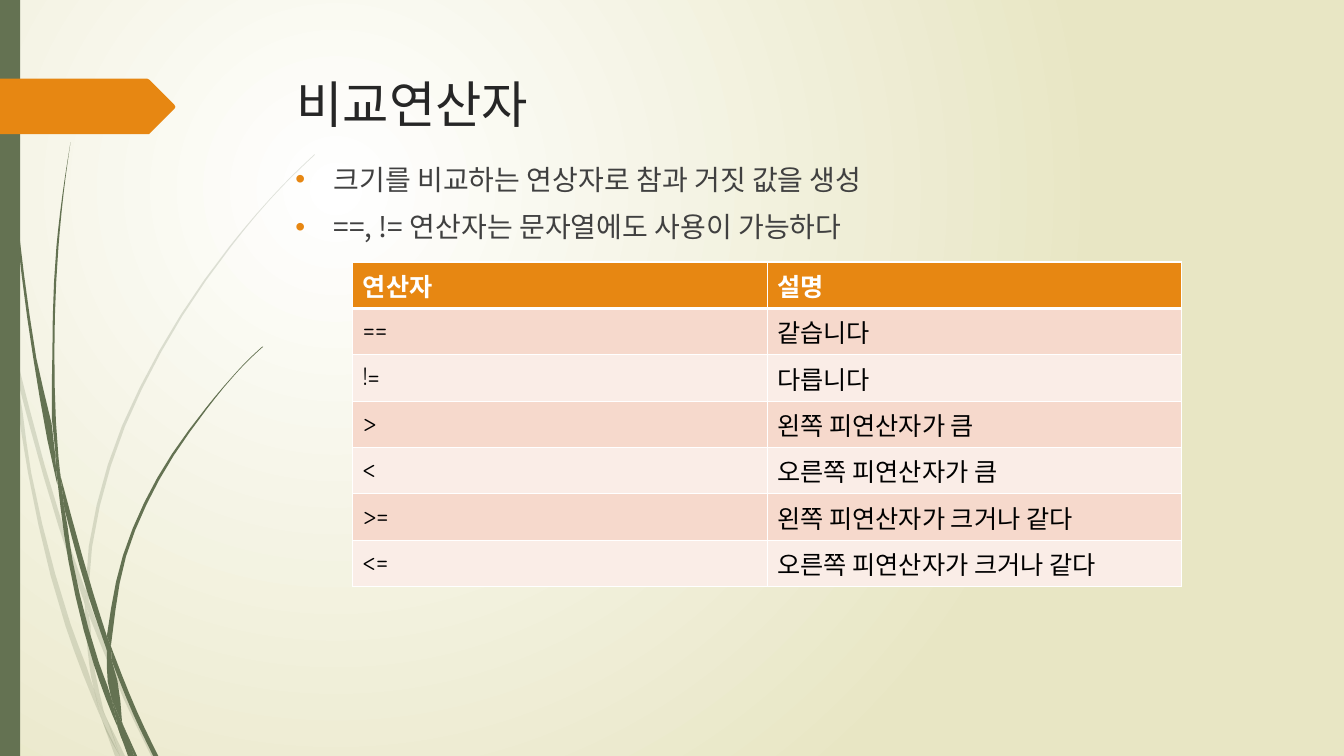
from dataclasses import dataclass

from lxml.etree import SubElement
from pptx import Presentation
from pptx.dml.color import RGBColor
from pptx.enum.shapes import MSO_SHAPE as Preset
from pptx.enum.text import MSO_ANCHOR as Anchor, MSO_AUTO_SIZE as AutoSize, PP_ALIGN as Align
from pptx.oxml.ns import qn
from pptx.util import Inches, Pt

TITLE = "비교연산자"
BULLETS = [
    "크기를 비교하는 연상자로 참과 거짓 값을 생성",
    "==, != 연산자는 문자열에도 사용이 가능하다",
]
OPERATORS = [
    ("연산자", "설명"),
    ("==", "같습니다"),
    ("!=", "다릅니다"),
    (">", "왼쪽 피연산자가 큼"),
    ("<", "오른쪽 피연산자가 큼"),
    (">=", "왼쪽 피연산자가 크거나 같다"),
    ("<=", "오른쪽 피연산자가 크거나 같다"),
]

# Each grass blade is a pair of edges: one followed out, the other back.
PALE_GRASS = [
    ([(0.11, 3.5), (0.09, 3.22), (0, 2.82)], [(0, 2.99), (0.1, 3.44), (0.11, 3.5)]),
    ([(0.14, 3.45), (0.62, 5.2), (0.85, 5.86)],
     [(0.84, 5.99), (0.58, 5.22), (0.17, 3.76)]),
    ([(0.88, 5.96), (0.92, 6.07), (1.27, 6.92), (1.55, 7.5)],
     [(1.5, 7.5), (1.23, 6.94), (0.88, 6.1)]),
    ([(1.19, 7.5), (1.24, 7.5)], [(1.05, 7.11)]),
    ([(0.11, 3.5), (0.28, 4.7), (0.65, 6.21), (0.92, 6.93), (1.01, 7.14)],
     [(0.99, 7.07), (0.93, 6.83), (0.7, 6.19), (0.31, 4.69), (0.17, 3.76), (0.11, 3.5)]),
    ([(0.84, 5.99), (0.87, 6.46), (0.93, 6.83), (0.96, 6.92), (1.05, 7.11)],
     [(1.03, 7.06), (0.91, 6.46), (0.88, 6.1), (0.84, 5.99)]),
    ([(0.88, 5.96), (0.88, 5.84), (1.1, 4.62), (1.6, 3.49), (2.29, 2.45), (2.68, 1.98),
      (2.9, 1.75), (3.12, 1.54)],
     [(3.12, 1.53), (2.89, 1.75), (2.68, 1.97), (2.28, 2.44), (1.58, 3.48), (1.07, 4.61),
      (0.85, 5.84), (0.85, 5.86)]),
    ([(1.01, 7.14), (1.14, 7.5)], [(1.19, 7.5), (1.01, 7.14)]),
    ([(0.88, 6.08), (0.88, 5.96)], [(0.85, 5.86), (0.84, 5.99)]),
    ([(0.93, 6.83), (0.99, 7.07), (1.01, 7.14), (1.19, 7.5)],
     [(1.19, 7.5), (1.05, 7.11), (0.96, 6.92), (0.93, 6.83)]),
]
DARK_GRASS = [
    ([(0.03, 0), (0.04, 0.48), (0.07, 1.1), (0.17, 2.33), (0.33, 3.55), (0.56, 4.77),
      (0.57, 4.81)],
     [(0.55, 4.57), (0.55, 4.53), (0.36, 3.55), (0.19, 2.32), (0.08, 1.09), (0.05, 0.48),
      (0.04, 0)]),
    ([(0.6, 4.72), (0.93, 5.9), (1.06, 6.31)],
     [(1.06, 6.45), (0.88, 5.92), (0.64, 5.05)]),
    ([(1.1, 6.41), (1.13, 6.49), (1.36, 7.06), (1.57, 7.5)],
     [(1.52, 7.5), (1.32, 7.08), (1.11, 6.56)]),
    ([(0.57, 4.77), (0.68, 5.57), (0.93, 6.59), (1.11, 7.08), (1.17, 7.22)],
     [(1.16, 7.17), (1.1, 6.91), (0.98, 6.57), (0.72, 5.56), (0.64, 5.05), (0.57, 4.77)]),
    ([(0.6, 4.72), (0.58, 4.53), (0.54, 3.49), (0.58, 2.45), (0.63, 1.93), (0.7, 1.41)],
     [(0.7, 1.41), (0.62, 1.93), (0.56, 2.45), (0.52, 3.49), (0.55, 4.49), (0.6, 4.72)]),
    ([(1.33, 7.5), (1.36, 7.5)], [(1.22, 7.19)]),
    ([(0.55, 4.49), (0.55, 4.53), (0.57, 4.77), (0.64, 5.05)], [(0.6, 4.72), (0.55, 4.49)]),
    ([(1.1, 6.41), (1.11, 6.33), (1.25, 5.52), (1.58, 4.76), (2.05, 4.06), (2.31, 3.74),
      (2.45, 3.59), (2.61, 3.44)],
     [(2.6, 3.44), (2.45, 3.58), (2.31, 3.73), (2.04, 4.05), (1.56, 4.74), (1.22, 5.51),
      (1.06, 6.31)]),
    ([(1.17, 7.22), (1.27, 7.5)], [(1.31, 7.5), (1.17, 7.22)]),
    ([(1.06, 6.45), (1.1, 6.91), (1.16, 7.06), (1.22, 7.19)],
     [(1.21, 7.16), (1.11, 6.56), (1.09, 6.51), (1.06, 6.45)]),
    ([(1.06, 6.31), (1.06, 6.45), (1.11, 6.56)], [(1.1, 6.41), (1.06, 6.31)]),
    ([(1.1, 6.91), (1.16, 7.17), (1.17, 7.22), (1.3, 7.5)],
     [(1.33, 7.5), (1.22, 7.19), (1.16, 7.06), (1.1, 6.91)]),
]
TITLE_ARROW = [(0, 0.78), (1.46, 0.78), (1.48, 0.79), (1.73, 1.04), (1.74, 1.06),
               (1.73, 1.08), (1.48, 1.33), (0, 1.33)]


@dataclass(frozen=True)
class Theme:
    font: str = "Noto Sans CJK KR"
    table_font: str = "Quicksand"
    white: str = "FFFFFF"
    black: str = "000000"
    sand: str = "E8E6C4"
    green: str = "647252"
    orange: str = "E78712"
    title: str = "262626"
    body: str = "404040"
    bands: tuple = ("F6D9CC", "FAEDE7")
    title_size: int = 36
    body_size: int = 20
    table_size: int = 18


THEME = Theme()


def rgb(color):
    return RGBColor.from_string(color)


def fill_shape(shape, color, alpha=None):
    shape.shadow.inherit = False
    shape.fill.solid()
    shape.fill.fore_color.rgb = rgb(color)
    shape.line.fill.background()
    if alpha:
        color_element = shape._element.spPr.find(f"{qn('a:solidFill')}/{qn('a:srgbClr')}")
        SubElement(color_element, qn("a:alpha"), val=str(alpha * 1000))


def smooth(knots, steps=3):
    """Pass a cubic curve through the knots, paced by the distance between them."""
    if len(knots) < 3:
        return knots
    points = [complex(*knot) for knot in knots]
    gaps = [abs(b - a) for a, b in zip(points, points[1:])]
    slopes = [(b - a) / gap for a, b, gap in zip(points, points[1:], gaps)]
    inner = [(s * h + r * g) / (g + h)
             for s, r, g, h in zip(slopes, slopes[1:], gaps, gaps[1:])]
    tangents = [1.5 * slopes[0] - inner[0] / 2, *inner, 1.5 * slopes[-1] - inner[-1] / 2]
    curve = [points[0]]
    for a, b, m, n, gap in zip(points, points[1:], tangents, tangents[1:], gaps):
        for step in range(1, steps + 1):
            t = step / steps
            curve.append(a + (b - a) * t * t * (3 - 2 * t)
                         + gap * t * (1 - t) * (m * (1 - t) - n * t))
    return [(point.real, point.imag) for point in curve]


def add_outline(slide, points, color, alpha=None):
    start, *rest = [(Inches(x), Inches(y)) for x, y in points]
    builder = slide.shapes.build_freeform(*start, scale=1.0)
    builder.add_line_segments(rest, close=True)
    fill_shape(builder.convert_to_shape(), color, alpha)


def style_text(paragraph, font_name, size, color, bold=False):
    font = paragraph.font
    font.name, font.size, font.bold = font_name, Pt(size), bold
    font.color.rgb = rgb(color)
    properties = paragraph._p.pPr.find(qn("a:defRPr"))
    properties.set("kern", "0")
    SubElement(properties, qn("a:ea"), typeface=THEME.font)


def paint_background(slide):
    fill = slide.background.fill
    fill.gradient()
    for stop, color in zip(fill.gradient_stops, (THEME.white, THEME.sand)):
        stop.color.rgb = rgb(color)
    gradient = slide._element.find(f".//{qn('a:gradFill')}")
    gradient.remove(gradient.find(qn("a:lin")))
    circle = SubElement(gradient, qn("a:path"), path="circle")
    SubElement(circle, qn("a:fillToRect"), l="50000", t="50000", r="100000", b="100000")


def add_decoration(slide):
    for blades, alpha in ((PALE_GRASS, 20), (DARK_GRASS, None)):
        for out, back in blades:
            add_outline(slide, smooth(out) + smooth(back), THEME.green, alpha)
    bar = slide.shapes.add_shape(Preset.RECTANGLE, 0, 0, Inches(0.2), Inches(7.5))
    fill_shape(bar, THEME.green)
    add_outline(slide, TITLE_ARROW, THEME.orange)


def add_title(slide):
    title = slide.shapes.title
    title.left, title.top = Inches(2.84), Inches(0.68)
    title.width, title.height = Inches(9.75), Inches(1.4)
    frame = title.text_frame
    frame.text, frame.vertical_anchor, frame.auto_size = TITLE, Anchor.TOP, AutoSize.NONE
    frame.paragraphs[0].alignment = Align.LEFT
    style_text(frame.paragraphs[0], THEME.font, THEME.title_size, THEME.title)


def add_bullets(slide):
    box = slide.shapes.add_textbox(Inches(2.83), Inches(1.56), Inches(9.75), Inches(4.91))
    frame = box.text_frame
    frame.word_wrap = True
    frame.text = "\n".join(BULLETS)
    for index, paragraph in enumerate(frame.paragraphs):
        paragraph.space_before = Pt(10 if index else 0)
        properties = paragraph._p.get_or_add_pPr()
        indent = Inches(0.38)
        properties.set("marL", str(indent))
        properties.set("indent", str(-indent))
        SubElement(SubElement(properties, qn("a:buClr")), qn("a:srgbClr"), val=THEME.orange)
        SubElement(properties, qn("a:buFont"), typeface="Arial")
        SubElement(properties, qn("a:buChar"), char="•")
        style_text(paragraph, THEME.font, THEME.body_size, THEME.body)


def set_borders(cell, is_header):
    properties = cell._tc.get_or_add_tcPr()
    widths = {"L": 1, "R": 1, "T": 1, "B": 3 if is_header else 1}
    for index, (side, width) in enumerate(widths.items()):
        line = SubElement(properties, qn(f"a:ln{side}"), w=str(Pt(width)))
        SubElement(SubElement(line, qn("a:solidFill")), qn("a:srgbClr"), val=THEME.white)
        properties.insert(index, line)


def add_operator_table(slide):
    rows, columns = len(OPERATORS), len(OPERATORS[0])
    table = slide.shapes.add_table(rows, columns, Inches(3.5), Inches(2.6),
                                   Inches(8.22), Inches(0.46 * rows)).table
    for row, texts in enumerate(OPERATORS):
        is_header = row == 0
        for column, text in enumerate(texts):
            cell = table.cell(row, column)
            cell.text = text
            cell.fill.solid()
            cell.fill.fore_color.rgb = rgb(THEME.orange if is_header else THEME.bands[(row - 1) % 2])
            set_borders(cell, is_header)
            style_text(cell.text_frame.paragraphs[0], THEME.table_font, THEME.table_size,
                       THEME.white if is_header else THEME.black, is_header)


def main():
    presentation = Presentation()
    presentation.slide_width, presentation.slide_height = Inches(13.33), Inches(7.5)
    slide = presentation.slides.add_slide(presentation.slide_layouts[5])
    paint_background(slide)
    add_decoration(slide)
    add_title(slide)
    add_bullets(slide)
    add_operator_table(slide)
    presentation.save("out.pptx")


if __name__ == "__main__":
    main()
